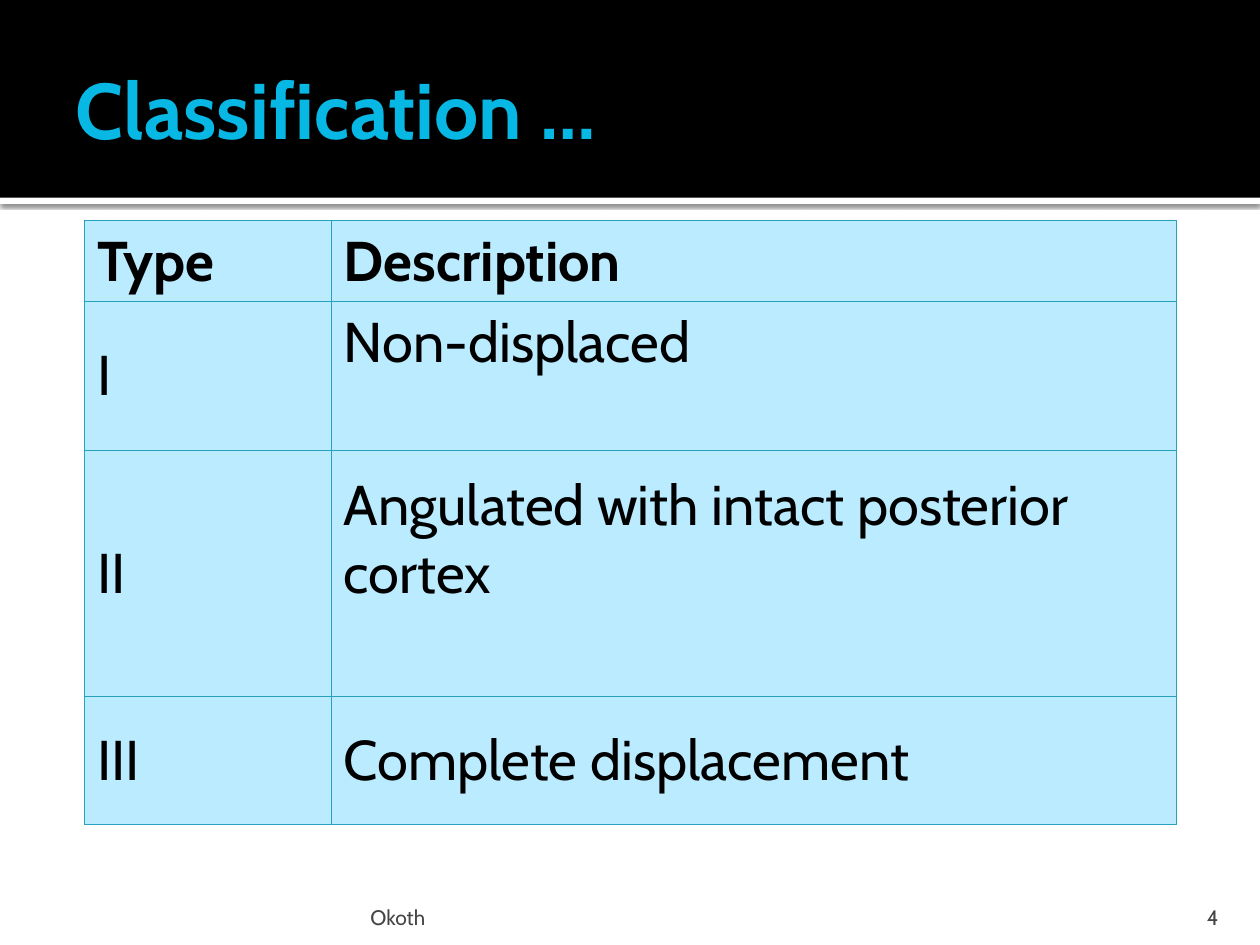
from lxml import etree
from pptx import Presentation
from pptx.dml.color import RGBColor
from pptx.enum.shapes import MSO_SHAPE as SHAPE
from pptx.enum.text import MSO_ANCHOR as ANCHOR, PP_ALIGN as ALIGN
from pptx.oxml import parse_xml
from pptx.oxml.ns import nsdecls, qn
from pptx.util import Pt

FONT = "Cabin"
COLORS = {"band": "000000", "strip": "FFFFFF", "title": "08B8E4", "cell": "BAEBFF",
          "border": "28A1BE", "text": "000000", "footer": "454545"}
COLUMNS = [141, 483]
ROWS = [
    (46, 3.6, "Type", "Description"),
    (85, 42, "I", "Non-displaced"),
    (140.5, 42, "II", "Angulated with intact posterior cortex"),
    (73.5, 3.6, "III", "Complete displacement"),
]


def rgb(name):
    return RGBColor.from_string(COLORS[name])


def write(p, text, size, color, bold=False):
    r = p.add_run()
    r.text = text
    r.font.name = FONT
    r.font.size = Pt(size)
    r.font.bold = bold
    r.font.color.rgb = rgb(color)


def set_insets(tf, left, top, right, bottom):
    tf.margin_left, tf.margin_top = Pt(left), Pt(top)
    tf.margin_right, tf.margin_bottom = Pt(right), Pt(bottom)


def add_band(s, x, y, w, h, color):
    sp = s.shapes.add_shape(SHAPE.RECTANGLE, Pt(x), Pt(y), Pt(w), Pt(h))
    sp.shadow.inherit = False
    sp.fill.solid()
    sp.fill.fore_color.rgb = rgb(color)
    sp.line.fill.background()
    s.shapes.title._element.addprevious(sp._element)
    return sp


def add_shadow(sp):
    effects = sp._element.spPr.find(qn("a:effectLst"))
    effects.append(parse_xml(
        f'<a:outerShdw {nsdecls("a")} blurRad="{Pt(2.5)}" dist="{Pt(0.8)}" dir="5400000">'
        '<a:srgbClr val="000000"><a:alpha val="60000"/></a:srgbClr></a:outerShdw>'))


def add_header(s, x, y, w, h):
    add_shadow(add_band(s, x, y + h, w, 3.6, "strip"))
    add_band(s, x, y, w, h, "band")
    title = s.shapes.title
    title.left, title.top = Pt(x + 36), Pt(y + 12.24)
    title.width, title.height = Pt(w - 72), Pt(98.64)
    tf = title.text_frame
    tf.vertical_anchor = ANCHOR.MIDDLE
    set_insets(tf, 7.2, 3.6, 3.6, 3.6)
    p = tf.paragraphs[0]
    p.alignment = ALIGN.LEFT
    write(p, "Classification …", 45, "title", True)


def add_borders(cell):
    tc_pr = cell._tc.get_or_add_tcPr()
    for i, side in enumerate(("lnL", "lnR", "lnT", "lnB")):
        ln = etree.Element(qn(f"a:{side}"), w=str(Pt(0.5)))
        fill = etree.SubElement(ln, qn("a:solidFill"))
        etree.SubElement(fill, qn("a:srgbClr"), val=COLORS["border"])
        tc_pr.insert(i, ln)


def add_types_table(s, x, y):
    heights = [row[0] for row in ROWS]
    table = s.shapes.add_table(len(ROWS), len(COLUMNS), Pt(x), Pt(y),
                               Pt(sum(COLUMNS)), Pt(sum(heights))).table
    for column, width in zip(table.columns, COLUMNS):
        column.width = Pt(width)
    for i, (height, bottom, *texts) in enumerate(ROWS):
        table.rows[i].height = Pt(height)
        for j, text in enumerate(texts):
            cell = table.cell(i, j)
            cell.fill.solid()
            cell.fill.fore_color.rgb = rgb("cell")
            cell.vertical_anchor = ANCHOR.MIDDLE
            set_insets(cell, 7.2, 3.6, 7.2, bottom if j else 3.6)
            write(cell.text_frame.paragraphs[0], text, 32, "text", i == 0)
            add_borders(cell)


def add_footer(s, x, y, w, h, text, align, inset):
    tf = s.shapes.add_textbox(Pt(x), Pt(y), Pt(w), Pt(h)).text_frame
    tf.word_wrap = True
    tf.vertical_anchor = ANCHOR.BOTTOM
    set_insets(tf, inset, 3.6, inset, 0)
    p = tf.paragraphs[0]
    p.alignment = align
    write(p, text, 12, "footer")


def main():
    prs = Presentation()
    prs.slide_width, prs.slide_height = Pt(720), Pt(540)
    s = prs.slides.add_slide(prs.slide_layouts[5])
    add_header(s, 0, 0, 720, 113)
    add_types_table(s, 48.24, 126)
    add_footer(s, 645.84, 509.76, 57.6, 21.6, "4", ALIGN.RIGHT, 7.2)
    add_footer(s, 208.08, 509.76, 433.44, 21.6, "Okoth", ALIGN.LEFT, 3.6)
    prs.save("out.pptx")


if __name__ == "__main__":
    main()
